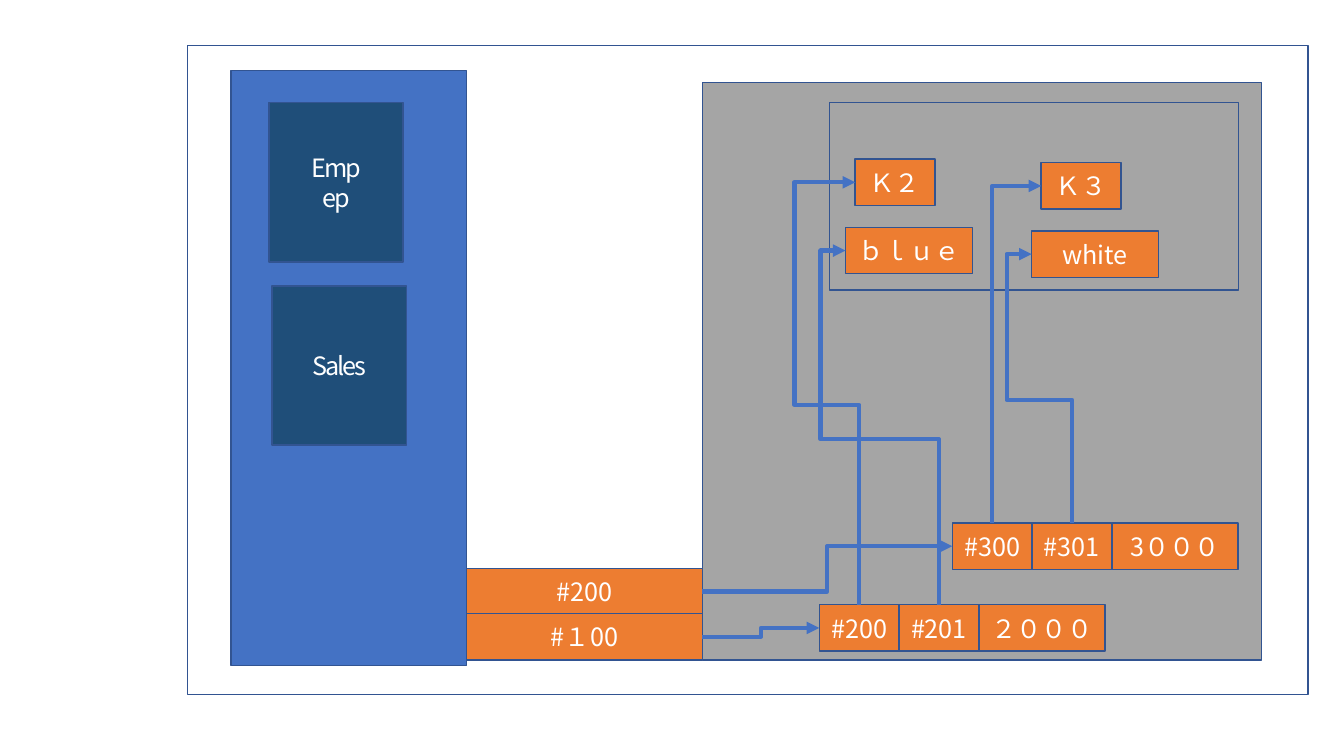
from lxml import etree
from pptx import Presentation
from pptx.dml.color import RGBColor
from pptx.enum.shapes import MSO_CONNECTOR, MSO_SHAPE
from pptx.enum.text import MSO_ANCHOR, PP_ALIGN
from pptx.oxml.ns import qn
from pptx.util import Cm, Pt

RECTANGLE = MSO_SHAPE.RECTANGLE
ELBOW = MSO_CONNECTOR.ELBOW
CENTER = PP_ALIGN.CENTER
MIDDLE = MSO_ANCHOR.MIDDLE
TOP_SITE, LEFT_SITE, RIGHT_SITE = 0, 1, 3

FONT = "Noto Sans CJK KR"
COLORS = {
    "outline": "325491",
    "stack": "4472C4",
    "heap": "A5A5A5",
    "class": "1F4E79",
    "cell": "ED7D31",
    "text": "FFFFFF",
    "arrow": "4472C4",
}
CELL_HEIGHT = 1.17
CELL_WIDTH = 2.01


def rgb(name):
    return RGBColor.from_string(COLORS[name])


def add_box(slide, left, top, width, height, fill=None, text="", spacing=0):
    """Outlined rectangle in cm; spacing is the letter spacing in points."""
    box = slide.shapes.add_shape(RECTANGLE, Cm(left), Cm(top), Cm(width), Cm(height))
    box.shadow.inherit = False
    box.line.color.rgb = rgb("outline")
    box.line.width = Pt(1)
    if fill:
        box.fill.solid()
        box.fill.fore_color.rgb = rgb(fill)
    else:
        box.fill.background()
    if text:
        frame = box.text_frame
        frame.vertical_anchor = MIDDLE
        frame.text = text
        for paragraph in frame.paragraphs:
            paragraph.alignment = CENTER
            font = paragraph.font
            font.size = Pt(18)
            font.name = FONT
            font.color.rgb = rgb("text")
            etree.SubElement(font._rPr, qn("a:ea"), typeface=FONT)
            if spacing:
                for run in paragraph.runs:
                    run.font._rPr.set("spc", str(int(spacing * 100)))
    return box


def add_arrow(slide, source, source_site, target):
    """Elbow arrow from a site of the source to the left side of the target."""
    arrow = slide.shapes.add_connector(ELBOW, 0, 0, 0, 0)
    arrow.begin_connect(source, source_site)
    arrow.end_connect(target, LEFT_SITE)
    arrow.line.color.rgb = rgb("arrow")
    arrow.line.width = Pt(3)
    etree.SubElement(arrow.line._get_or_add_ln(), qn("a:tailEnd"), type="triangle")
    etree.SubElement(arrow._element.spPr, qn("a:effectLst"))
    return arrow


def add_rising_arrow(slide, source, target, turn=None):
    """Arrow that leaves the source upwards; turn is the (x, y) in cm of its detour."""
    arrow = add_arrow(slide, source, TOP_SITE, target)
    start_x, start_y = source.left + source.width // 2, source.top
    end_x, end_y = target.left, target.top + target.height // 2
    rise, shift = start_y - end_y, abs(end_x - start_x)
    arrow.left = (start_x + end_x - rise) // 2
    arrow.top = (start_y + end_y - shift) // 2
    arrow.width, arrow.height = rise, shift

    properties = arrow._element.spPr
    frame = properties.find(qn("a:xfrm"))
    for flip in ("flipH", "flipV"):
        frame.attrib.pop(flip, None)
    frame.set("rot", str(270 * 60000))
    if end_x < start_x:
        frame.set("flipV", "1")

    geometry = properties.find(qn("a:prstGeom"))
    geometry.set("prst", "bentConnector4" if turn else "bentConnector2")
    if turn:
        turn_x, turn_y = turn
        bends = (start_y - Cm(turn_y)) / rise, (start_x - Cm(turn_x)) / shift
        guides = geometry.find(qn("a:avLst"))
        for number, bend in enumerate(bends, start=1):
            etree.SubElement(guides, qn("a:gd"), name=f"adj{number}",
                             fmla=f"val {round(bend * 100000)}")


def add_class_area(slide, left, top):
    add_box(slide, left, top, 5.94, 14.99, "stack")
    add_box(slide, left + 0.96, top + 0.81, 3.38, 4.01, "class", "Emp\nep", -1.5)
    add_box(slide, left + 1.04, top + 5.43, 3.38, 4.01, "class", "Sales", -1.5)


def add_variables(slide, left, top, labels):
    return [add_box(slide, left, top + row * 1.14, 5.94, CELL_HEIGHT, "cell", label)
            for row, label in enumerate(labels)]


def add_record(slide, left, top, labels):
    """Two reference cells and a wider value cell, side by side."""
    widths = (CELL_WIDTH, CELL_WIDTH, 3.18)
    return [add_box(slide, left + sum(widths[:column]), top, width, CELL_HEIGHT, "cell", label)
            for column, (width, label) in enumerate(zip(widths, labels))]


def add_strings(slide, left, top, code, color):
    return (add_box(slide, left + 0.24, top, CELL_WIDTH, CELL_HEIGHT, "cell", code),
            add_box(slide, left, top + 1.72, 3.2, CELL_HEIGHT, "cell", color))


def add_heap(slide, left, top):
    """Heap with its string pool; returns the two records."""
    add_box(slide, left, top, 14.1, 14.55, "heap")
    add_box(slide, left + 3.2, top + 0.51, 10.31, 4.72, "heap")
    k2, blue = add_strings(slide, left + 3.61, top + 1.93, "Ｋ２", "ｂｌｕｅ")
    k3, white = add_strings(slide, left + 8.3, top + 2.02, "Ｋ３", "white")
    first = add_record(slide, left + 2.95, top + 13.16, ("#200", "#201", "２０００"))
    second = add_record(slide, left + 6.3, top + 11.1, ("#300", "#301", "3０００"))
    add_rising_arrow(slide, first[0], k2, (left + 2.32, top + 8.13))
    add_rising_arrow(slide, first[1], blue, (left + 2.98, top + 8.99))
    add_rising_arrow(slide, second[0], k3)
    add_rising_arrow(slide, second[1], white, (left + 7.67, top + 8.0))
    return first, second


def add_memory_diagram(slide, left, top):
    add_box(slide, left, top, 28.24, 16.36)
    add_class_area(slide, left + 1.1, top + 0.64)
    first, second = add_heap(slide, left + 12.98, top + 0.94)
    upper, lower = add_variables(slide, left + 7.04, top + 13.18, ("#200", "#１00"))
    add_arrow(slide, lower, RIGHT_SITE, first[0])
    add_arrow(slide, upper, RIGHT_SITE, second[0])


def main():
    deck = Presentation()
    deck.slide_width, deck.slide_height = Cm(33.87), Cm(19.05)
    slide = deck.slides.add_slide(deck.slide_layouts[6])
    add_memory_diagram(slide, 4.72, 1.14)
    deck.save("out.pptx")


if __name__ == "__main__":
    main()
